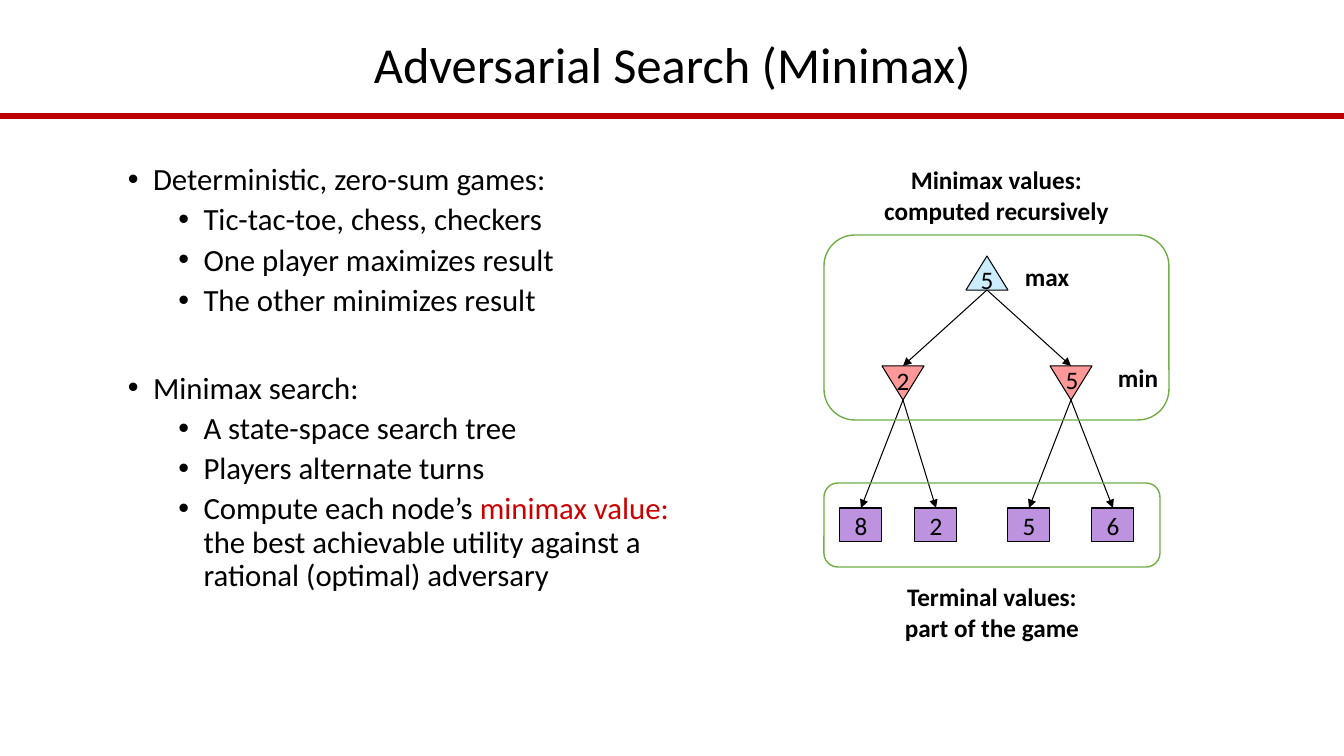
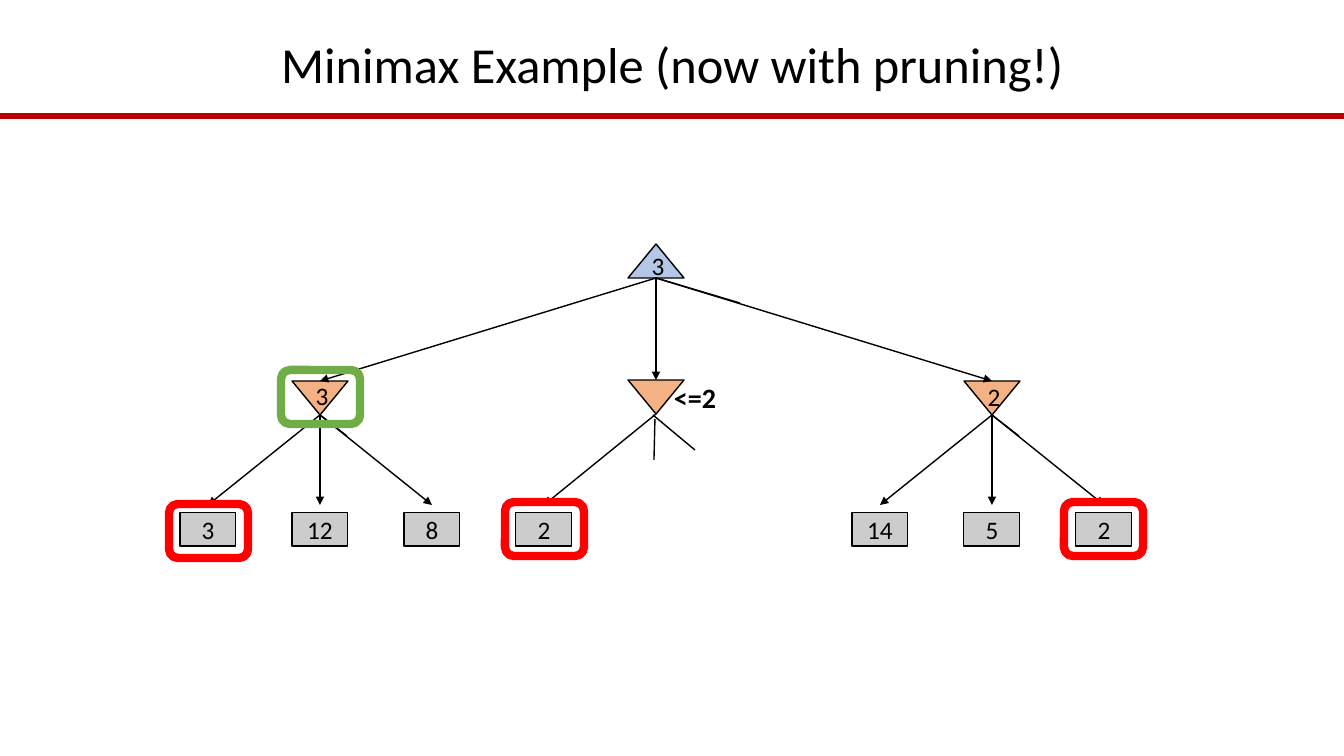
from lxml.etree import SubElement
from pptx import Presentation
from pptx.dml.color import RGBColor
from pptx.enum.shapes import MSO_CONNECTOR, MSO_SHAPE
from pptx.enum.text import MSO_ANCHOR, PP_ALIGN
from pptx.oxml.ns import qn
from pptx.util import Pt

# Shared style
EMU_PER_PX = 914400 / 100.8
WIDTH, HEIGHT = 1344, 756
FONT = "Calibri"
BLACK, RULE_RED, TEXT_RED = "000000", "BB0000", "CC0000"
GREEN, BRIGHT_RED = "70AD47", "FF0000"
NODE_HEIGHT = 34

# Slide 1 content
GAMES_TITLE = "Adversarial Search (Minimax)"
OUTLINE = [  # level, space before, runs
    (0, 0, [("Deterministic, zero-sum games:", BLACK)]),
    (1, 5, [("Tic-tac-toe, chess, checkers", BLACK)]),
    (1, 5, [("One player maximizes result", BLACK)]),
    (1, 5, [("The other minimizes result", BLACK)]),
    (0, 39, [("Minimax search:", BLACK)]),
    (1, 5, [("A state-space search tree", BLACK)]),
    (1, 5, [("Players alternate turns", BLACK)]),
    (1, 5, [("Compute each node’s ", BLACK), ("minimax value: ", TEXT_RED),
            ("the best achievable utility against a rational (optimal) adversary", BLACK)]),
]
GAME_TREE = {
    "width": 42, "line": 0.75, "root_fill": "CCECFF", "min_fill": "FF9999", "leaf_fill": "BD92DE",
    "root": (987, 256), "root_value": ("5", 0, 3), "leaf_top": 508,
    "mins": [  # centre, top, (value, dx, dy), leaves as (dx, value), arrow ends
        (903, 366, ("2", 0, -6), [(-42, "8"), (33, "2")]),
        (1071, 366, ("5", 1, -7), [(-42, "5"), (42, "6")]),
    ],
    "arrow_gap": 0,
}
PLAYER_LABELS = [("max", (1010, 256, 74, 40)), ("min", (1101, 357, 74, 40))]
VALUE_FRAMES = [(824, 483, 336, 84), (824, 235, 345, 185)]
CAPTIONS = [("Terminal values:\npart of the game", (824, 576, 336, 72)),
            ("Minimax values:\ncomputed recursively", (824, 159, 345, 72))]

# Slide 2 content
PRUNING_TITLE = "Minimax Example (now with pruning!)"
PRUNED_TREE = {
    "width": 56, "line": 1, "root_fill": "B4C7E7", "min_fill": "F4B183", "leaf_fill": "CCCCCC",
    "root": (656, 244), "root_value": ("3", 2, 1), "leaf_top": 512,
    "mins": [
        (320, 381, ("3", 2, -6), [(-112, "3"), (0, "12"), (112, "8")]),
        (656, 380, None, [(-112, "2")]),
        (992, 381, ("2", 2, -5), [(-112, "14"), (0, "5"), (112, "2")]),
    ],
    "arrow_gap": 7,
}
STUBS = [  # start, then the reach of each short branch
    ((656, 278), [(0, 33), (84, 25)]),
    ((320, 415), [(0, 34), (27, 21)]),
    ((992, 415), [(0, 34), (27, 21)]),
    ((655, 419), [(-1, 41)]),
    ((653, 415), [(42, 35)]),
]
HIGHLIGHTS = [(169, 504, BRIGHT_RED), (505, 502, BRIGHT_RED),
              (1064, 502, BRIGHT_RED), (281, 370, GREEN)]
HIGHLIGHT_SIZE = (79, 54)
BOUND = ("<=2", (664, 376, 71, 44))


def emu(px):
    return round(px * EMU_PER_PX)


def color(hex_code):
    return RGBColor.from_string(hex_code)


def write(frame, text, size=18, bold=False, align=PP_ALIGN.CENTER,
          anchor=MSO_ANCHOR.MIDDLE, spacing=None, wrap=True):
    """Fill a frame with a string, or with an outline of bulleted paragraphs."""
    frame.word_wrap, frame.vertical_anchor = wrap, anchor
    outline = [(None, 0, [(text, BLACK)])] if isinstance(text, str) else text
    for number, (level, before, runs) in enumerate(outline):
        paragraph = frame.add_paragraph() if number else frame.paragraphs[0]
        if level is not None:
            properties = paragraph._p.get_or_add_pPr()
            properties.set("marL", str(228600 + level * 457200))
            properties.set("indent", "-228600")
            SubElement(properties, qn("a:buFont"), typeface="Arial")
            SubElement(properties, qn("a:buChar"), char="•")
            paragraph.level = level
        paragraph.alignment = align
        paragraph.space_before = Pt(before)
        if spacing:
            paragraph.line_spacing = spacing
        for words, ink in runs:
            for row, line in enumerate(words.split("\n")):
                if row:
                    paragraph.add_line_break()
                run = paragraph.add_run()
                run.text = line
                run.font.name, run.font.size, run.font.bold = FONT, Pt(size), bold
                run.font.color.rgb = color(ink)


def add_text(slide, box, text, **style):
    write(slide.shapes.add_textbox(*map(emu, box)).text_frame, text, **style)


def add_shape(slide, preset, box, line, weight, fill=None):
    shape = slide.shapes.add_shape(preset, *map(emu, box))
    shape.shadow.inherit = False
    shape.line.color.rgb, shape.line.width = color(line), Pt(weight)
    if fill:
        shape.fill.solid()
        shape.fill.fore_color.rgb = color(fill)
    else:
        shape.fill.background()
    return shape


def add_line(slide, start, end, weight, ink=BLACK, arrow=False):
    line = slide.shapes.add_connector(MSO_CONNECTOR.STRAIGHT, *map(emu, (*start, *end)))
    line.line.color.rgb, line.line.width = color(ink), Pt(weight)
    properties = line._element.spPr
    if arrow:
        SubElement(properties.find(qn("a:ln")), qn("a:tailEnd"), type="triangle")
    SubElement(properties, qn("a:effectLst"))
    return line


def add_slide(deck, title):
    slide = deck.slides.add_slide(deck.slide_layouts[6])
    add_line(slide, (0, 116), (WIDTH, 116), 4, RULE_RED)
    add_text(slide, (93, 34, 1159, 67), title, size=36, spacing=0.9)
    return slide


def add_tree(slide, tree):
    width, weight = tree["width"], tree["line"]

    def node(preset, center, top, fill, weight=weight):
        box = (center - width / 2, top, width, NODE_HEIGHT)
        return add_shape(slide, preset, box, BLACK, weight, fill)

    root_x, root_top = tree["root"]
    node(MSO_SHAPE.ISOSCELES_TRIANGLE, root_x, root_top, tree["root_fill"])
    values = [(root_x, root_top, tree["root_value"])]
    for center, top, value, leaves in tree["mins"]:
        node(MSO_SHAPE.ISOSCELES_TRIANGLE, center, top, tree["min_fill"]).rotation = 180
        add_line(slide, (root_x, root_top + NODE_HEIGHT), (center, top), weight, arrow=True)
        values.append((center, top, value))
        for offset, payoff in leaves:
            leaf_x, leaf_top = center + offset, tree["leaf_top"]
            leaf = node(MSO_SHAPE.RECTANGLE, leaf_x, leaf_top, tree["leaf_fill"], 0.75)
            write(leaf.text_frame, payoff, wrap=False)
            arrow = add_line(slide, (center, top + NODE_HEIGHT),
                             (leaf_x, leaf_top - tree["arrow_gap"]), weight, arrow=True)
            if not tree["arrow_gap"]:
                arrow.end_connect(leaf, 0)
    return values


def add_values(slide, values):
    for center, top, value in values:
        if value:
            digit, dx, dy = value
            add_text(slide, (center + dx - 20, top + dy, 40, 40), digit, anchor=MSO_ANCHOR.TOP)


def build_games(deck):
    slide = add_slide(deck, GAMES_TITLE)
    add_text(slide, (118, 159, 605, 499), OUTLINE, size=22, align=PP_ALIGN.LEFT,
             anchor=MSO_ANCHOR.TOP, spacing=0.9)
    add_values(slide, add_tree(slide, GAME_TREE))
    for box in VALUE_FRAMES:
        add_shape(slide, MSO_SHAPE.ROUNDED_RECTANGLE, box, GREEN, 1)
    for label, box in PLAYER_LABELS + CAPTIONS:
        add_text(slide, box, label, bold=True)


def build_pruning(deck):
    slide = add_slide(deck, PRUNING_TITLE)
    values = add_tree(slide, PRUNED_TREE)
    for (x, y), branches in STUBS:
        for dx, dy in branches:
            add_line(slide, (x, y), (x + dx, y + dy), 1)
    for left, top, ink in HIGHLIGHTS:
        add_shape(slide, MSO_SHAPE.ROUNDED_RECTANGLE, (left, top, *HIGHLIGHT_SIZE), ink, 6)
    add_values(slide, values)
    bound, box = BOUND
    add_text(slide, box, bound, size=20, bold=True, align=PP_ALIGN.LEFT, anchor=MSO_ANCHOR.TOP)


def main():
    deck = Presentation()
    deck.slide_width, deck.slide_height = emu(WIDTH), emu(HEIGHT)
    build_games(deck)
    build_pruning(deck)
    deck.save("out.pptx")


if __name__ == "__main__":
    main()
